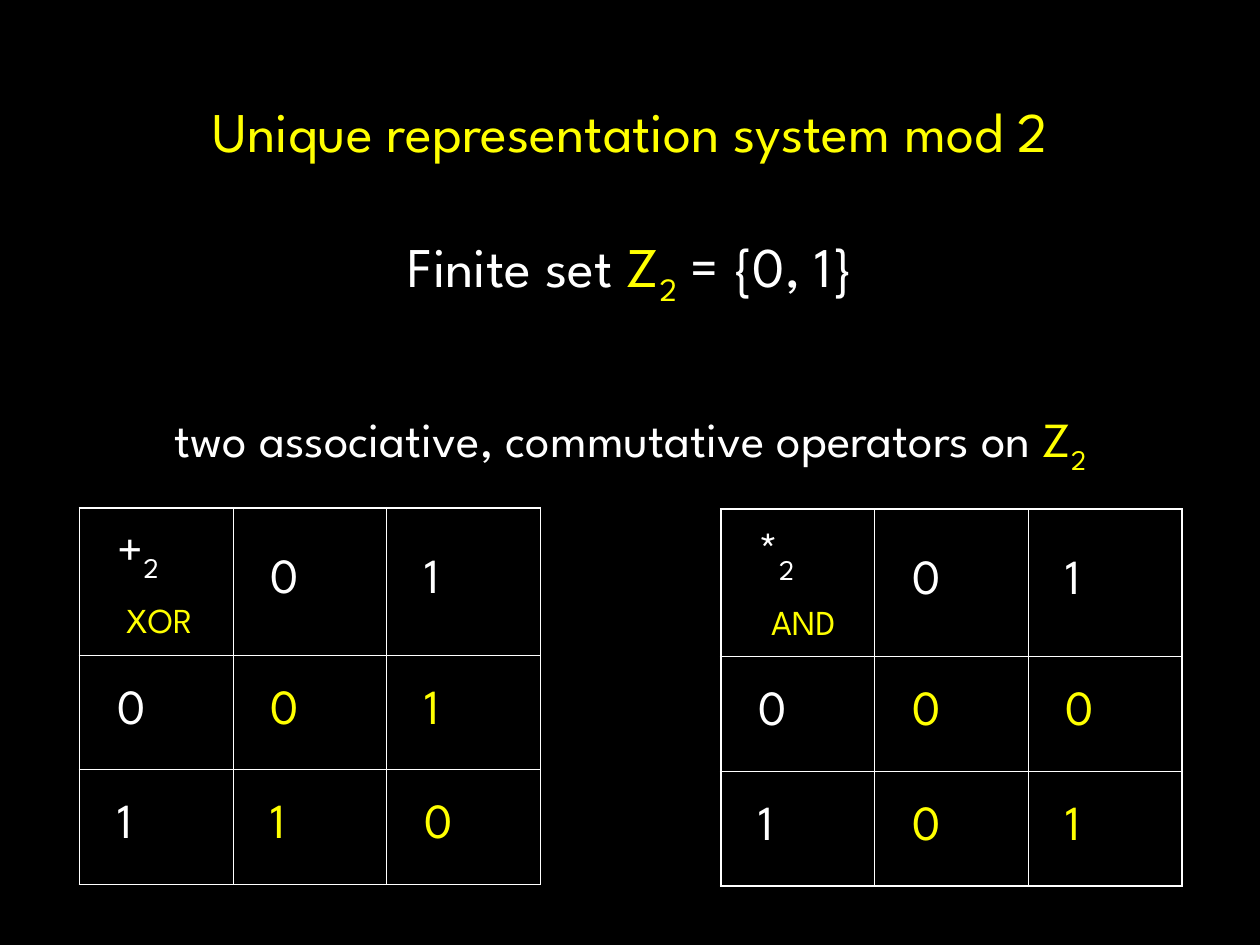
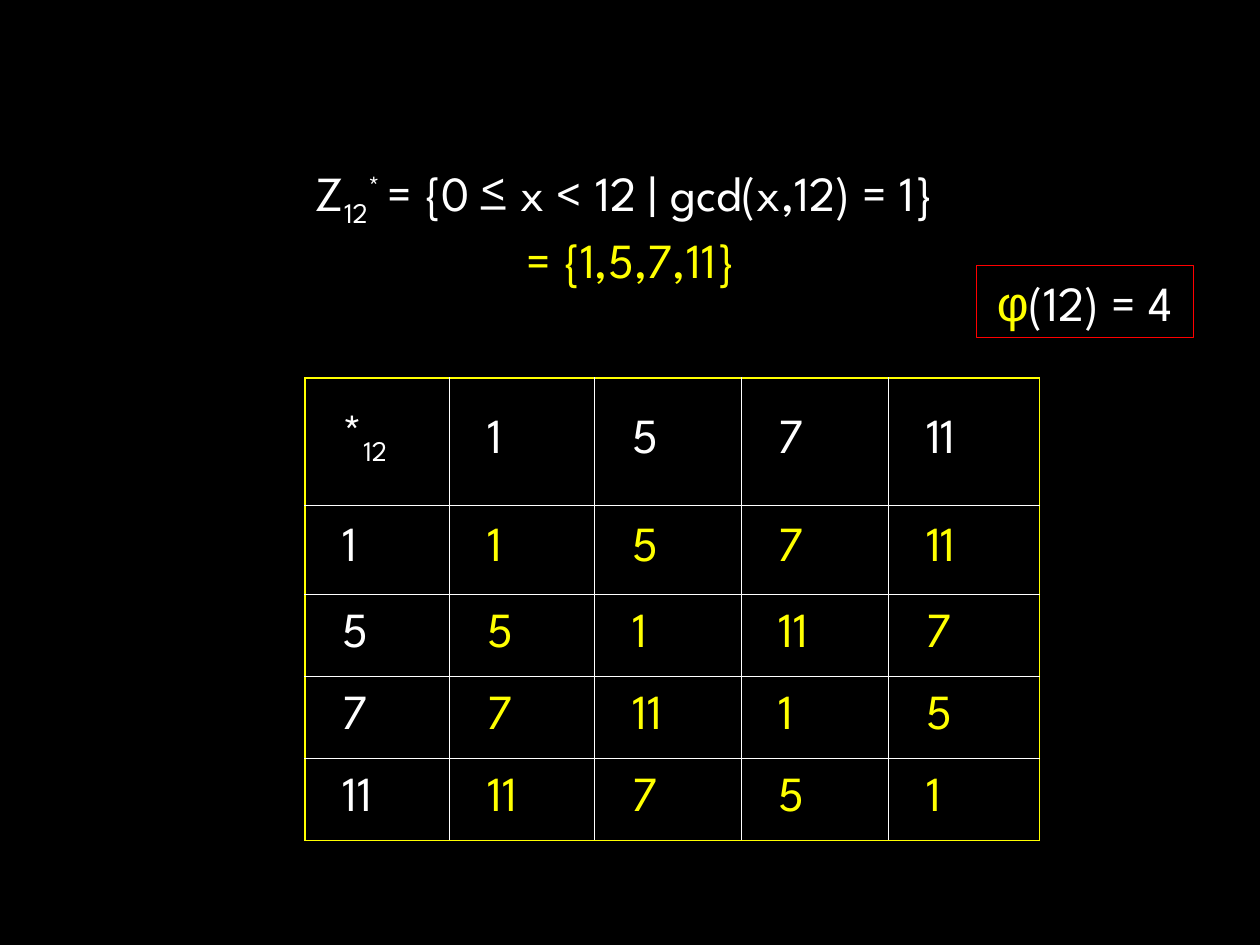
from lxml.etree import SubElement
from pptx import Presentation
from pptx.dml.color import RGBColor
from pptx.enum.shapes import MSO_SHAPE as Shape
from pptx.enum.text import MSO_ANCHOR as Anchor, MSO_AUTO_SIZE as AutoSize, PP_ALIGN as Align
from pptx.oxml.ns import qn
from pptx.util import Inches, Pt

BLACK, WHITE, YELLOW, RED = "000000", "FFFFFF", "FFFF00", "FF0000"
SUB, SUPER = -25, 30
THIN, THICK = 0.45, 1.08


def rgb(value):
    return RGBColor.from_string(value)


def add_text(paragraph, text, size=28, color=WHITE, font="League Spartan", shift=0):
    """Add one formatted run; shift raises or lowers it in percent."""
    run = paragraph.add_run()
    run.text = text
    run.font.size = Pt(size)
    run.font.name = font
    run.font.color.rgb = rgb(color)
    if shift:
        run.font._element.set("baseline", str(shift * 1000))


class Deck:
    def __init__(self):
        self.prs = Presentation()
        self.prs.slide_width, self.prs.slide_height = Inches(10), Inches(7.5)
        self.slide = None

    def new_slide(self):
        self.slide = self.prs.slides.add_slide(self.prs.slide_layouts[6])
        fill = self.slide.background.fill
        fill.solid()
        fill.fore_color.rgb = rgb(BLACK)

    def frame(self, shape, wrap):
        frame = shape.text_frame
        frame.word_wrap = wrap
        frame.auto_size = AutoSize.SHAPE_TO_FIT_TEXT
        frame.vertical_anchor = Anchor.TOP
        frame.paragraphs[0].alignment = Align.CENTER
        return frame

    def textbox(self, left, top, width, height, wrap=True):
        box = self.slide.shapes.add_textbox(*map(Inches, (left, top, width, height)))
        return self.frame(box, wrap)

    def outlined_box(self, left, top, width, height, line):
        box = self.slide.shapes.add_shape(
            Shape.RECTANGLE, *map(Inches, (left, top, width, height)))
        box.shadow.inherit = False
        box.fill.background()
        box.line.color.rgb = rgb(line)
        box.line.width = Pt(0.75)
        return self.frame(box, wrap=False)

    def border(self, cell, side, color, width):
        line = SubElement(cell._tc.get_or_add_tcPr(), qn(f"a:ln{side}"),
                          w=str(int(Pt(width))))
        SubElement(SubElement(line, qn("a:solidFill")), qn("a:srgbClr"), val=color)

    def operation_table(self, left, top, widths, heights, elements, symbol, modulus,
                        operate, edge=WHITE, fill=None, corner_bottom=0.05):
        """Draw the table of a binary operation over the given elements."""
        count = len(elements) + 1
        table = self.slide.shapes.add_table(
            count, count, Inches(left), Inches(top),
            Inches(sum(widths)), Inches(sum(heights))).table
        table.first_row = table.horz_banding = False
        for column, width in zip(table.columns, widths):
            column.width = Inches(width)
        for row, height in zip(table.rows, heights):
            row.height = Inches(height)

        for r in range(count):
            for c in range(count):
                cell = table.cell(r, c)
                cell.margin_left = cell.margin_right = Inches(0.3)
                cell.margin_top = cell.margin_bottom = Inches(0.05)
                cell.vertical_anchor = Anchor.MIDDLE
                outer = {"L": c == 0, "R": c == count - 1,
                         "T": r == 0, "B": r == count - 1}
                for side, is_outer in outer.items():
                    self.border(cell, side, *((edge, THICK) if is_outer else (WHITE, THIN)))
                if fill:
                    cell.fill.solid()
                    cell.fill.fore_color.rgb = rgb(fill)
                else:
                    cell.fill.background()

                entry = cell.text_frame.paragraphs[0]
                entry.space_before = Pt(7)
                if r and c:
                    result = operate(elements[r - 1], elements[c - 1]) % modulus
                    add_text(entry, str(result), color=YELLOW)
                elif r or c:
                    add_text(entry, str(elements[max(r, c) - 1]))
                else:
                    cell.margin_bottom = Inches(corner_bottom)
                    add_text(entry, symbol)
                    add_text(entry, str(modulus), shift=SUB)


def plus(a, b):
    return a + b


def times(a, b):
    return a * b


def build_mod_2(deck):
    deck.new_slide()

    # Statements above the tables
    statements = deck.textbox(0.29, 0.72, 9.43, 3.03)
    add_text(statements.paragraphs[0], "Unique representation system mod 2",
             size=32, color=YELLOW)
    for size, gap, before, after in (
            (32, 39, "Finite set ", " = {0, 1}"),
            (28, 62, "two associative, commutative operators on ", "")):
        line = statements.add_paragraph()
        line.alignment = Align.CENTER
        line.line_spacing = 0.9
        line.space_before = Pt(gap)
        add_text(line, before, size=size)
        add_text(line, "Z", size=size, color=YELLOW)
        add_text(line, "2", size=size, color=YELLOW, shift=SUB)
        if after:
            add_text(line, after, size=size)

    # Operation tables, with room below each symbol for the gate name
    for left, top, symbol, operate in ((0.63, 4.03, "+", plus), (5.72, 4.04, "*", times)):
        deck.operation_table(left, top, [1.22] * 3, [1.17, 0.91, 0.91], [0, 1], symbol, 2,
                             operate, fill=BLACK, corner_bottom=0.41)
    for left, top, width, gate in ((0.89, 4.7, 0.75, "XOR"), (5.98, 4.72, 0.79, "AND")):
        label = deck.textbox(left, top, width, 0.44, wrap=False)
        add_text(label.paragraphs[0], gate, size=20, color=YELLOW)


def build_mod_12(deck):
    deck.new_slide()

    # Definition of the group
    definition = deck.textbox(1.37, 1.24, 7.27, 1.1).paragraphs[0]
    add_text(definition, "Z")
    add_text(definition, "12", shift=SUB)
    add_text(definition, "* ", shift=SUPER)
    add_text(definition, "= {0 ≤ x < 12 | gcd(x,12) = 1} ")
    definition.add_line_break()
    add_text(definition, "= {1,5,7,11}", color=YELLOW)

    # Multiplication table
    deck.operation_table(2.42, 3, [1.15, 1.15, 1.16, 1.17, 1.2],
                         [1.01, 0.71, 0.65, 0.65, 0.65], [1, 5, 7, 11],
                         "*", 12, times, edge=YELLOW)

    # Size of the group
    totient = deck.outlined_box(7.75, 2.11, 1.72, 0.57, RED).paragraphs[0]
    add_text(totient, "φ", color=YELLOW, font="Arial")
    add_text(totient, "(12) = 4")


def main():
    deck = Deck()
    build_mod_2(deck)
    build_mod_12(deck)
    deck.prs.save("out.pptx")


if __name__ == "__main__":
    main()
